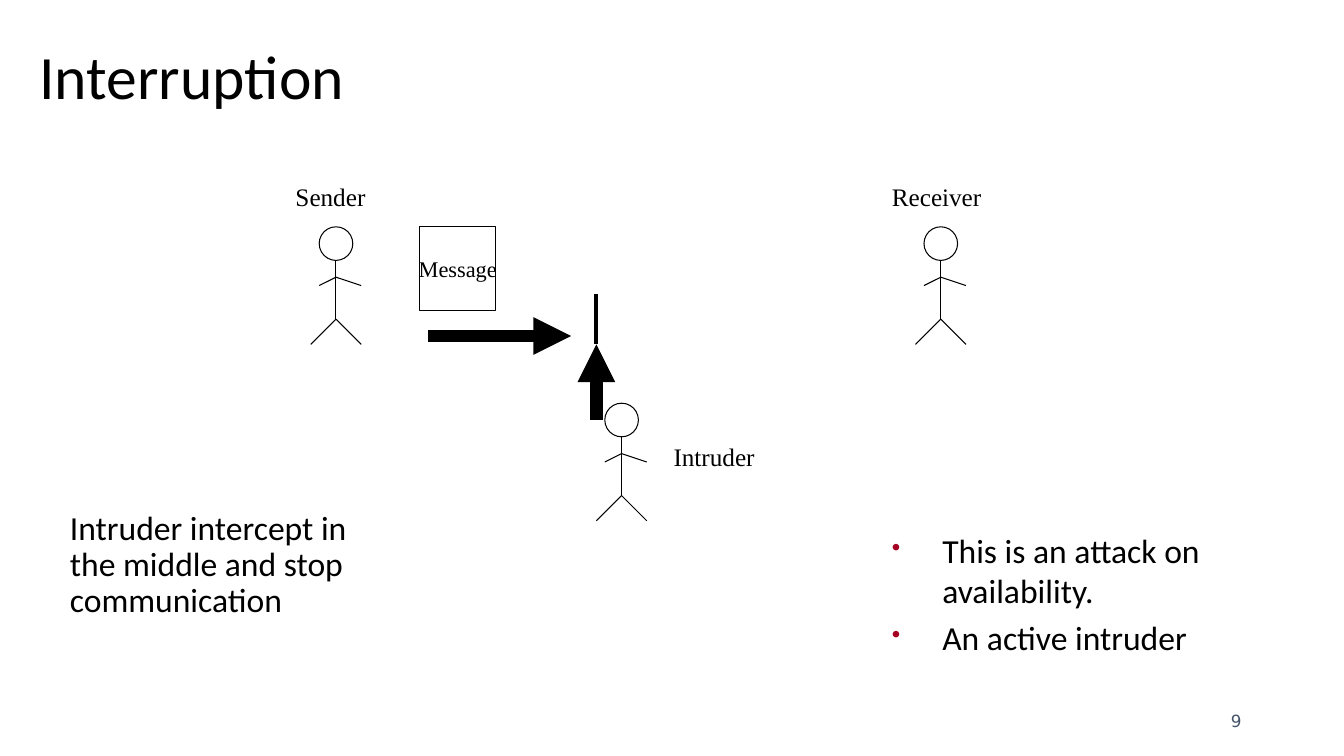
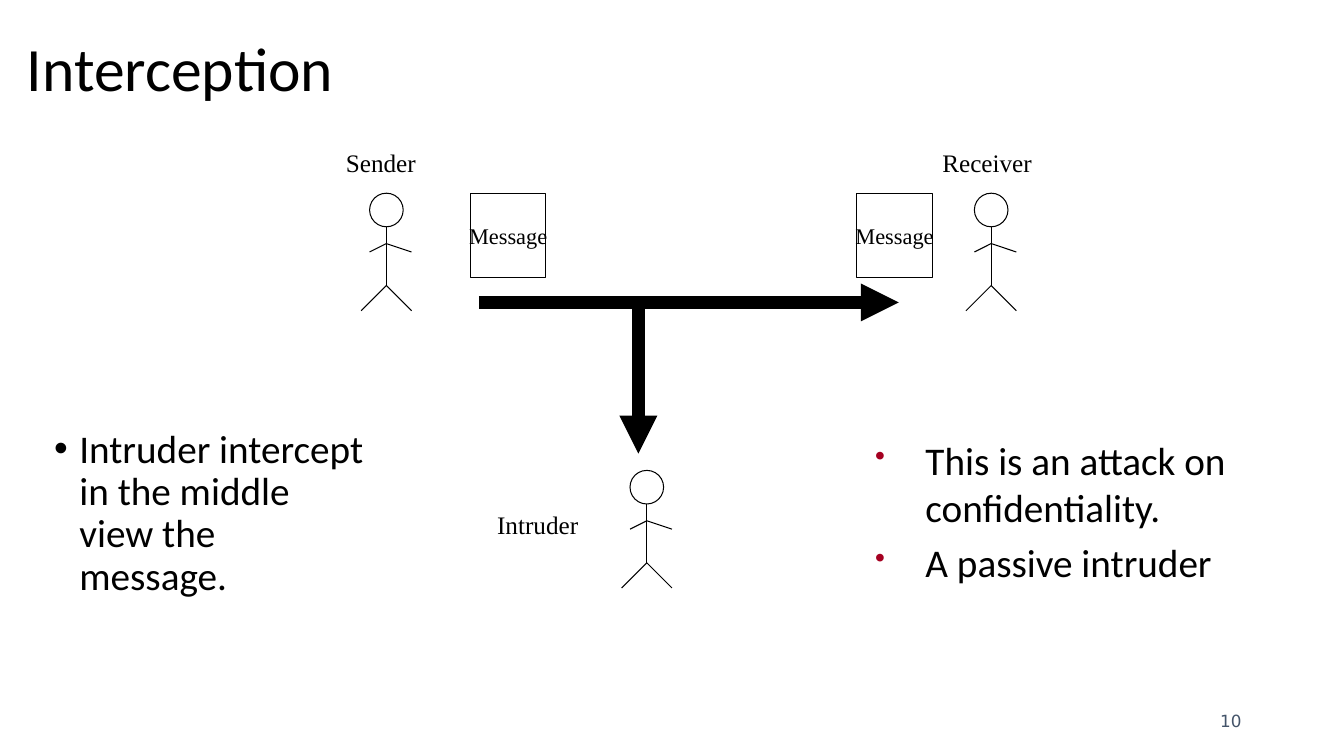
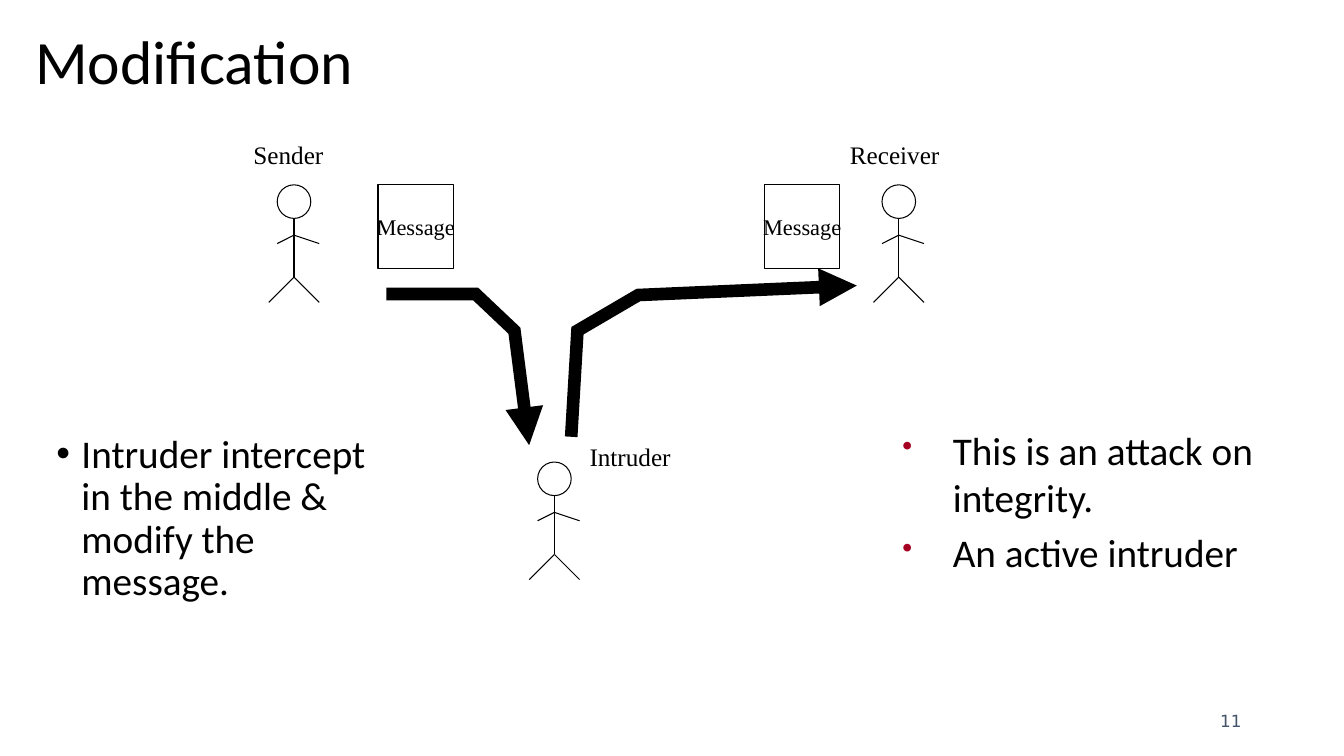
from lxml.etree import SubElement
from pptx import Presentation
from pptx.dml.color import RGBColor
from pptx.enum.shapes import MSO_CONNECTOR, MSO_SHAPE
from pptx.enum.text import MSO_ANCHOR as ANCHOR, MSO_AUTO_SIZE as FIT, PP_ALIGN as ALIGN
from pptx.oxml.ns import qn
from pptx.util import Emu, Pt

PX = 9525
BLACK = RGBColor(0x00, 0x00, 0x00)
CRIMSON = RGBColor(0xA5, 0x00, 0x21)
SLATE = RGBColor(0x44, 0x54, 0x6A)
SANS, SERIF, NUMBER_FONT = "Calibri", "Times New Roman", "DejaVu Sans"
THIN, BAR, THICK = 0.75, 3, 9
RECEIVER_GAP = 576


def px(*lengths):
    return [Emu(n * PX) for n in lengths]


def add_xml(parent, tag, **attrs):
    return SubElement(parent, qn(tag), attrs)


class Deck:
    def __init__(self):
        self.prs = Presentation()
        self.prs.slide_width, self.prs.slide_height = px(1280, 720)
        self.slide = None

    def new_slide(self, title, left, top, number):
        self.slide = self.prs.slides.add_slide(self.prs.slide_layouts[1])
        sp = self.slide.shapes.title
        self.place(sp, left, top, 816, 80)
        self.set_text(sp.text_frame, [title], 44, anchor=ANCHOR.MIDDLE)
        sp.text_frame.paragraphs[0].line_spacing = 0.9
        self.text_box([number], 904, 667, 288, 38, 12, NUMBER_FONT, SLATE,
                      ALIGN.RIGHT, ANCHOR.MIDDLE)

    def place(self, sp, *box):
        sp.left, sp.top, sp.width, sp.height = px(*box)

    def set_text(self, tf, lines, size, font=SANS, color=BLACK,
                 align=ALIGN.LEFT, anchor=ANCHOR.TOP):
        tf.text = "\n".join(lines)
        tf.word_wrap = True
        tf.auto_size = FIT.NONE
        tf.vertical_anchor = anchor
        for p in tf.paragraphs:
            p.alignment = align
            for r in p.runs:
                r.font.size, r.font.name = Pt(size), font
                r.font.color.rgb = color

    def text_box(self, lines, x, y, w, h, *style):
        tf = self.slide.shapes.add_textbox(*px(x, y, w, h)).text_frame
        self.set_text(tf, lines, *style)
        return tf

    def label(self, text, x, y, w):
        tf = self.text_box([text], x, y, w, 38, 18, SERIF)
        tf.auto_size = FIT.SHAPE_TO_FIT_TEXT

    def body(self, text, box, size, bullet=True):
        sp = self.slide.placeholders[1]
        self.place(sp, *box)
        self.set_text(sp.text_frame, [text], size)
        p = sp.text_frame.paragraphs[0]
        p.line_spacing, p.space_before = 0.9, Pt(10)
        self.indent(p, 24 if bullet else 0)
        if bullet:
            add_xml(p._p.pPr, "a:buChar", char="•")
        else:
            add_xml(p._p.pPr, "a:buNone")

    def indent(self, p, width):
        pPr = p._p.get_or_add_pPr()
        pPr.set("marL", str(width * PX))
        pPr.set("indent", str(-width * PX))

    def remarks(self, lines, x, y, h, size):
        for p in self.text_box(lines, x, y, 384, h, size).paragraphs:
            self.indent(p, 48)
            pPr = p._p.pPr
            add_xml(add_xml(pPr, "a:spcBef"), "a:spcPct", val="20000")
            add_xml(add_xml(pPr, "a:buClr"), "a:srgbClr", val=str(CRIMSON))
            add_xml(pPr, "a:buSzPct", val="75000")
            add_xml(pPr, "a:buChar", char="•")

    def outline(self, sp, width=THIN, arrow=False):
        sp.line.color.rgb = BLACK
        sp.line.width = Pt(width)
        if arrow:
            ln = next(sp.element.iter(qn("a:ln")))
            add_xml(ln, "a:miter", lim="800000")
            add_xml(ln, "a:tailEnd", type="triangle")

    def line(self, x1, y1, x2, y2, width=THIN, arrow=False, shapes=None):
        shapes = shapes or self.slide.shapes
        cn = shapes.add_connector(MSO_CONNECTOR.STRAIGHT, *px(x1, y1, x2, y2))
        self.outline(cn, width, arrow)
        add_xml(cn.element.spPr, "a:effectLst")

    def arrow(self, *ends):
        self.line(*ends, THICK, True)

    def bent_arrow(self, start, *points):
        builder = self.slide.shapes.build_freeform(*start, scale=PX)
        builder.add_line_segments(points, close=False)
        sp = builder.convert_to_shape()
        sp.shadow.inherit = False
        sp.fill.background()
        self.outline(sp, THICK, True)

    def hollow(self, shapes, kind, *box):
        sp = shapes.add_shape(kind, *px(*box))
        sp.shadow.inherit = False
        sp.fill.background()
        self.outline(sp)
        return sp

    def person(self, x, y):
        shapes = self.slide.shapes.add_group_shape().shapes
        self.hollow(shapes, MSO_SHAPE.OVAL, x - 16, y, 32, 32)
        hip, shoulder = y + 88, y + 48
        self.line(x, y + 32, x, hip, shapes=shapes)
        for arm, leg in ((24, 24), (-16, -24)):
            self.line(x, shoulder, x + arm, shoulder + 8, shapes=shapes)
            self.line(x, hip, x + leg, hip + 24, shapes=shapes)

    def message(self, x, y):
        sp = self.hollow(self.slide.shapes, MSO_SHAPE.RECTANGLE, x, y, 72, 80)
        self.set_text(sp.text_frame, ["Message"], 16, SERIF, BLACK,
                      ALIGN.CENTER, ANCHOR.MIDDLE)
        sp.text_frame.word_wrap = False

    def parties(self, x, y, delivered=True):
        receiver = x + RECEIVER_GAP
        self.person(x, y)
        self.label("Sender", x - 48, y - 48, 96)
        self.person(receiver, y)
        self.label("Receiver", receiver - 56, y - 48, 112)
        self.message(x + 80, y)
        if delivered:
            self.message(receiver - 128, y)

    def intruder(self, x, y, label_x, label_y):
        self.person(x, y)
        self.label("Intruder", label_x, label_y, 112)


def main():
    deck = Deck()

    deck.new_slide("Interruption", 28, 36, "9")
    deck.body("Intruder intercept in the middle and stop communication",
              (57, 482, 328, 240), 24, bullet=False)
    deck.parties(320, 216, delivered=False)
    deck.arrow(408, 320, 544, 320)
    deck.intruder(592, 384, 632, 416)
    deck.arrow(568, 400, 568, 328)
    deck.line(568, 280, 568, 328, BAR)
    deck.remarks(["This is an attack on availability.", "An active intruder"],
                 840, 500, 168, 24)

    deck.new_slide("Interception", 16, 28, "10")
    deck.body("Intruder intercept in the middle view the message.",
              (42, 404, 318, 312), 28)
    deck.parties(368, 184)
    deck.arrow(456, 288, 856, 288)
    deck.intruder(616, 448, 464, 480)
    deck.arrow(608, 288, 608, 432)
    deck.remarks(["This is an attack on confidentiality.", "A passive intruder"],
                 824, 411, 248, 28)

    deck.new_slide("Modification", 24, 21, "11")
    deck.body("Intruder intercept in the middle & modify the message.",
              (44, 409, 341, 208), 28)
    deck.parties(280, 176)
    deck.bent_arrow((368, 280), (453, 280), (490, 315), (504, 424))
    deck.intruder(528, 440, 552, 416)
    deck.bent_arrow((544, 416), (550, 315), (608, 281), (816, 272))
    deck.remarks(["This is an attack on integrity.", "An active intruder"],
                 850, 401, 248, 28)

    deck.prs.save("out.pptx")


if __name__ == "__main__":
    main()
